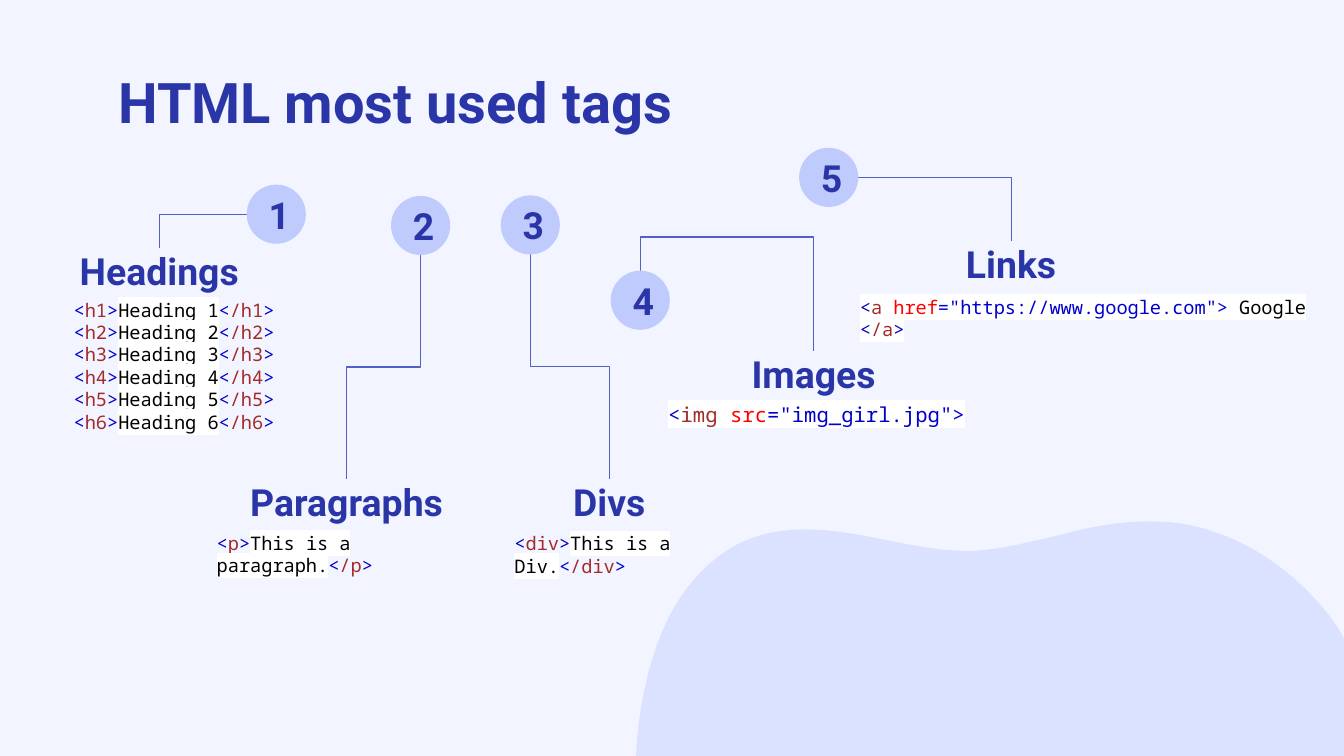
from lxml.etree import SubElement
from pptx import Presentation
from pptx.dml.color import RGBColor
from pptx.enum.shapes import MSO_CONNECTOR as Link, MSO_SHAPE as Shape
from pptx.enum.text import MSO_ANCHOR as Anchor, MSO_AUTO_SIZE as Fit, PP_ALIGN as Align
from pptx.oxml.ns import qn
from pptx.util import Emu, Inches, Pt

CELL = Inches(0.1)
COLUMNS, ROWS = 100, 56.25
BALL = 4.4
HEAD_HEIGHT = 2.8
NAVY, LINE, BALL_FILL = "2A36A7", "5560C7", "BFCBFC"
BACKGROUND, BLOB_FILL, WHITE = "F2F5FF", "DBE2FF", "FFFFFF"
MARK, TAG, ATTRIBUTE, PLAIN = "0000CD", "A52A2A", "FF0000", "000000"

BLOB_START = (74.8, 86.8)
BLOB_CURVES = [
    (73.1, 86.8, 71.5, 86.7, 69.8, 86.4), (66.3, 85.7, 63.3, 84.5, 60.5, 82.7),
    (58.9, 81.8, 57.5, 80.7, 56.1, 79.4), (55.7, 79, 55.3, 78.6, 55, 78.3),
    (53.4, 76.6, 52, 74.7, 50.9, 72.7), (47.9, 67.2, 46.8, 60.4, 47.5, 54),
    (47.9, 51, 48.6, 48, 50.1, 45.3), (51.3, 43.2, 53.1, 41.3, 55.3, 40.3),
    (56.9, 39.6, 58.4, 39.4, 60, 39.4), (64, 39.4, 68, 41, 72, 41),
    (72.1, 41, 72.2, 41, 72.3, 41), (74.5, 40.9, 76.7, 40.3, 78.9, 39.8),
    (81.1, 39.2, 83.3, 38.8, 85.5, 38.8), (87.1, 38.8, 88.8, 39, 90.4, 39.6),
    (93.7, 40.7, 96.7, 43, 98.9, 45.8), (104.3, 53.1, 103.7, 63.7, 99.8, 71.5),
    (95.1, 80.9, 85.1, 86.8, 74.8, 86.8),
]


def rgb(value):
    return RGBColor.from_string(value)


def cells(*counts):
    return [Emu(round(count * CELL)) for count in counts]


def element(tag, content):
    return [("<", MARK), (tag, TAG), (">", MARK), (content, PLAIN),
            ("<", MARK), ("/" + tag, TAG), (">", MARK)]


def set_font(paragraph, name, size, colour=None):
    paragraph.font.name = name
    paragraph.font.size = Pt(size)
    if colour:
        paragraph.font.bold = True
        paragraph.font.color.rgb = rgb(colour)


def set_frame(frame, anchor=Anchor.TOP, vertical_inset=0):
    frame.word_wrap = True
    frame.auto_size = Fit.NONE
    frame.vertical_anchor = anchor
    frame.margin_left = frame.margin_right = CELL
    frame.margin_top = frame.margin_bottom = vertical_inset
    return frame.paragraphs[0]


def add_blob(slide, start, curves):
    builder = slide.shapes.build_freeform(*cells(*start))
    builder.add_line_segments(
        [cells(*curve[i:i + 2]) for curve in curves for i in (0, 2, 4)], close=True)
    blob = builder.convert_to_shape()
    blob.shadow.inherit = False
    blob.fill.solid()
    blob.fill.fore_color.rgb = rgb(BLOB_FILL)
    blob.line.fill.background()
    segments = list(blob._element.iter(qn("a:lnTo")))
    for first, second, third in zip(segments[::3], segments[1::3], segments[2::3]):
        outline = first.getparent()
        bezier = SubElement(outline, qn("a:cubicBezTo"))
        first.addprevious(bezier)
        for segment in (first, second, third):
            bezier.append(segment[0])
            outline.remove(segment)
    slide.shapes.title._element.addprevious(blob._element)


def add_title(slide, box, text):
    title = slide.shapes.title
    title.left, title.top, title.width, title.height = cells(*box)
    line = set_frame(title.text_frame)
    line.text = text
    line.alignment = Align.LEFT
    set_font(line, "Roboto", 30, NAVY)


def add_heading(slide, box, text):
    line = set_frame(slide.shapes.add_textbox(*cells(*box)).text_frame)
    line.text = text
    line.alignment = Align.CENTER
    set_font(line, "Roboto", 20, NAVY)


def add_ball(slide, box, number):
    ball = slide.shapes.add_shape(Shape.OVAL, *cells(*box))
    ball.shadow.inherit = False
    ball.fill.solid()
    ball.fill.fore_color.rgb = rgb(BALL_FILL)
    ball.line.fill.background()
    digit = set_frame(ball.text_frame, Anchor.MIDDLE, CELL)
    digit.text = str(number)
    digit.alignment = Align.CENTER
    set_font(digit, "Roboto", 20, NAVY)


def add_elbow(slide, start, end, bends, turn):
    (x0, y0), (x1, y1) = start, end
    middle_x, middle_y = (x0 + x1) / 2, (y0 + y1) / 2
    half_run, half_rise = (y0 - y1) / 2, (x1 - x0) / 2
    elbow = slide.shapes.add_connector(Link.ELBOW, *cells(
        middle_x - half_run, middle_y - half_rise,
        middle_x + half_run, middle_y + half_rise))
    elbow.line.color.rgb = rgb(LINE)
    elbow.line.width = Pt(0.75)
    properties = elbow._element.spPr
    properties.find(qn("a:xfrm")).set("rot", str(270 * 60000))
    geometry = properties.find(qn("a:prstGeom"))
    geometry.set("prst", f"bentConnector{bends + 1}")
    if bends == 2:
        adjustments = geometry.find(qn("a:avLst"))
        if adjustments is None:
            adjustments = SubElement(geometry, qn("a:avLst"))
        SubElement(adjustments, qn("a:gd"), name="adj1", fmla=f"val {round(turn * 100000)}")
    SubElement(properties, qn("a:effectLst"))


def add_code(slide, box, lines, size, all_white):
    code = set_frame(slide.shapes.add_textbox(*cells(*box)).text_frame)
    set_font(code, "Noto Sans Mono", size)
    for index, tokens in enumerate(lines):
        if index:
            code.add_line_break()
        for text, colour in tokens:
            token = code.add_run()
            token.text = text
            token.font.color.rgb = rgb(colour)
            if all_white or colour == PLAIN:
                highlight = SubElement(token._r.get_or_add_rPr(), qn("a:highlight"))
                SubElement(highlight, qn("a:srgbClr"), val=WHITE)


def add_topic(slide, number, name, head, ball, side, code, lines,
              size=10, all_white=False, turn=0.5):
    left, top, width = head
    ball_x, ball_y = ball
    share_x, share_y = {"left": (0, 0.5), "right": (1, 0.5),
                        "top": (0.5, 0), "bottom": (0.5, 1)}[side]
    add_heading(slide, (left, top, width, HEAD_HEIGHT), name)
    add_elbow(slide, (left + width / 2, top),
              (ball_x + BALL * share_x, ball_y + BALL * share_y),
              1 if side in ("left", "right") else 2, turn)
    add_ball(slide, (ball_x, ball_y, BALL, BALL), number)
    add_code(slide, code, lines, size, all_white)


def main():
    deck = Presentation()
    deck.slide_width, deck.slide_height = cells(COLUMNS, ROWS)
    slide = deck.slides.add_slide(deck.slide_layouts[5])
    slide.background.fill.solid()
    slide.background.fill.fore_color.rgb = rgb(BACKGROUND)

    add_blob(slide, BLOB_START, BLOB_CURVES)
    add_title(slide, (7.8, 5, 84.4, 6.3), "HTML most used tags")
    add_topic(slide, 1, "Headings", (4.86, 18.46, 14), (18.36, 13.74), "left",
              (4.5, 22.2, 21.3, 5.2),
              [element(f"h{level}", f"Heading {level}") for level in range(1, 7)])
    add_topic(slide, 2, "Paragraphs", (16.64, 35.64, 18.3), (29.1, 14.58), "bottom",
              (15.14, 39.56, 23.2, 5.2), [element("p", "This is a paragraph.")])
    add_topic(slide, 3, "Divs", (38.34, 35.64, 14), (37.26, 14.54), "bottom",
              (37.3, 39.6, 21.3, 2.7), [element("div", "This is a Div.")])
    add_topic(slide, 4, "Images", (53.54, 26.1, 14), (45.44, 20.14), "top",
              (48.74, 29.9, 42.4, 2),
              [[("<", MARK), ("img", TAG), (" src", ATTRIBUTE),
                ('="img_girl.jpg">', MARK)]],
              size=11, all_white=True, turn=1.42)
    add_topic(slide, 5, "Links", (68.24, 17.94, 14), (59.46, 11), "right",
              (63, 22, 36.6, 2.4),
              [[("<", MARK), ("a", TAG), (" href", ATTRIBUTE),
                ('="https://www.google.com"> ', MARK), ("Google ", PLAIN),
                ("<", MARK), ("/a", TAG), (">", MARK)]],
              all_white=True)
    deck.save("out.pptx")


if __name__ == "__main__":
    main()
